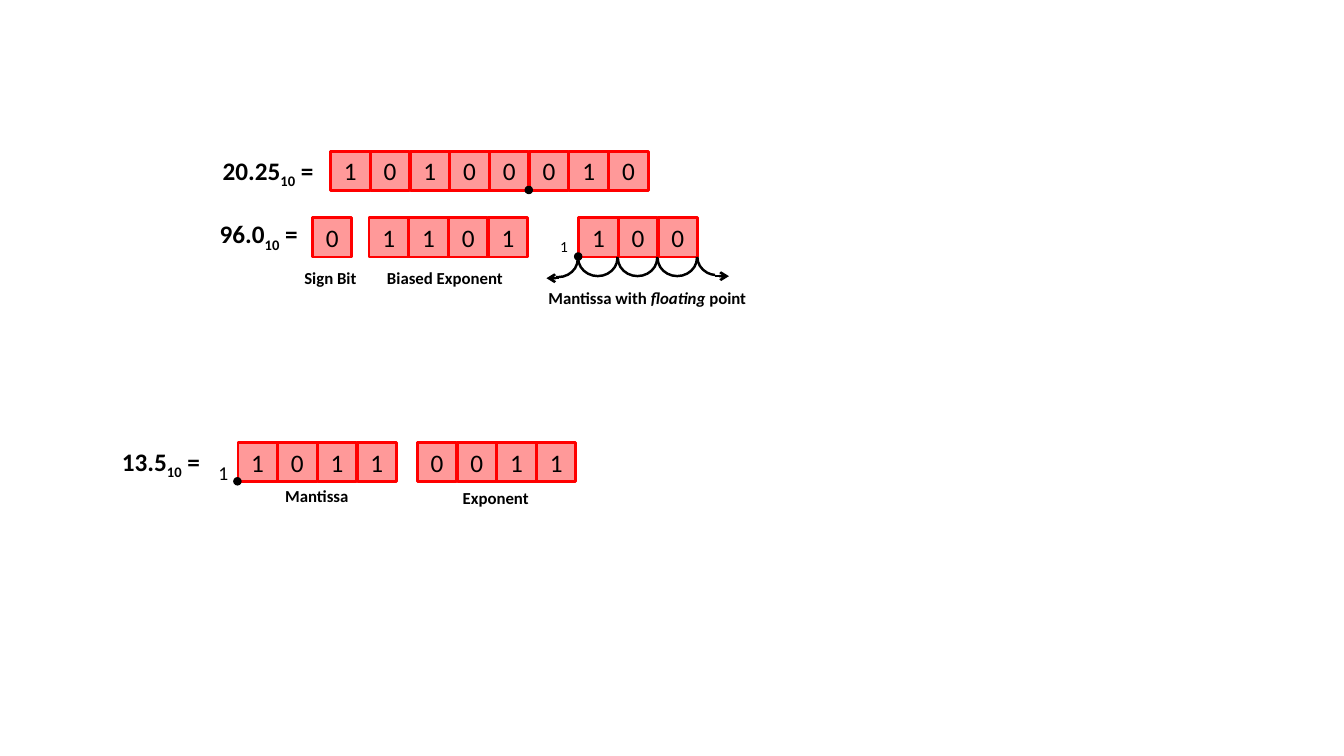
from lxml.etree import SubElement
from pptx import Presentation
from pptx.dml.color import RGBColor
from pptx.enum.shapes import MSO_CONNECTOR, MSO_SHAPE
from pptx.enum.text import MSO_ANCHOR, MSO_AUTO_SIZE, PP_ALIGN
from pptx.oxml.ns import qn
from pptx.util import Inches, Pt

BLACK, RED = "000000", "FF0000"
CELL, PITCH, DOT = 0.39, 0.394, 0.07


def paint(shape, line, width, fill=None, opacity=100):
    """Set the line and an optional fill, and remove the shadow."""
    shape.line.color.rgb = RGBColor.from_string(line)
    shape.line.width = Pt(width)
    SubElement(shape._element.spPr, qn("a:effectLst"))
    if fill:
        shape.fill.solid()
        shape.fill.fore_color.rgb = RGBColor.from_string(fill)
        if opacity < 100:
            color = shape._element.spPr.find(qn("a:solidFill"))[0]
            SubElement(color, qn("a:alpha")).set("val", str(opacity * 1000))


def write(shape, *pieces, size=18, bold=False, centered=False):
    """Write pieces as runs; a piece is text or a (text, style) pair."""
    frame = shape.text_frame
    frame.word_wrap = centered
    frame.vertical_anchor = MSO_ANCHOR.MIDDLE if centered else MSO_ANCHOR.TOP
    if not centered:
        frame.auto_size = MSO_AUTO_SIZE.SHAPE_TO_FIT_TEXT
    paragraph = frame.paragraphs[0]
    paragraph.alignment = PP_ALIGN.CENTER if centered else PP_ALIGN.LEFT
    for piece in pieces:
        text, style = (piece, None) if isinstance(piece, str) else piece
        run = paragraph.add_run()
        run.text = text
        run.font.name = "Calibri"
        run.font.size = Pt(size)
        run.font.bold = bold
        run.font.color.rgb = RGBColor.from_string(BLACK)
        if style == "italic":
            run.font.italic = True
        elif style == "subscript":
            run.font._element.set("baseline", "-25000")


presentation = Presentation()
presentation.slide_width = Inches(13.33)
presentation.slide_height = Inches(7.5)
slide = presentation.slides.add_slide(presentation.slide_layouts[6])
shapes = slide.shapes

# Bit cells: left, top, bits
for left, top, bits in [
    (3.28, 1.5, "10100010"),
    (3.1, 2.16, "0"),
    (3.66, 2.16, "1101"),
    (5.74, 2.16, "100"),
    (2.36, 4.39, "1011"),
    (4.14, 4.39, "0011"),
]:
    for index, bit in enumerate(bits):
        cell = shapes.add_shape(
            MSO_SHAPE.RECTANGLE, Inches(left + index * PITCH), Inches(top),
            Inches(CELL), Inches(CELL))
        paint(cell, RED, 2, fill=RED, opacity=40)
        write(cell, bit, centered=True)

# Decimal values
for left, top, width, number in [
    (2.11, 1.49, 1.14, "20.25"),
    (2.08, 2.12, 1.01, "96.0"),
    (1.11, 4.38, 1.01, "13.5"),
]:
    value = shapes.add_textbox(Inches(left), Inches(top), Inches(width), Inches(0.4))
    write(value, number, ("10", "subscript"), " =", bold=True)

# Captions
for left, top, width, pieces in [
    (2.92, 2.61, 0.73, ["Sign Bit"]),
    (3.74, 2.61, 1.37, ["Biased Exponent"]),
    (5.34, 2.81, 2.18, ["Mantissa with ", ("floating ", "italic"), "point"]),
    (2.73, 4.77, 0.84, ["Mantissa"]),
    (4.49, 4.79, 0.87, ["Exponent"]),
]:
    caption = shapes.add_textbox(Inches(left), Inches(top), Inches(width), Inches(0.3))
    write(caption, *pieces, size=12, bold=True)

# Implied leading ones
for left, top, size in [(5.4, 2.25, 11), (2.02, 4.49, 14)]:
    implied_one = shapes.add_textbox(Inches(left), Inches(top), Inches(CELL), Inches(CELL))
    write(implied_one, "1", size=size, centered=True)

# Binary points
for left, top in [(5.21, 1.85), (5.7, 2.51), (2.32, 4.74)]:
    point = shapes.add_shape(
        MSO_SHAPE.FLOWCHART_CONNECTOR, Inches(left), Inches(top), Inches(DOT), Inches(DOT))
    paint(point, BLACK, 1, fill=BLACK)

# Hops of the floating point; angles in degrees
RIGHT, BOTTOM, LEFT = 356.83, 96.3, 180
for index, (top, start, end) in enumerate([
    (2.39, RIGHT, BOTTOM),
    (2.38, RIGHT, LEFT),
    (2.38, RIGHT, LEFT),
    (2.38, RIGHT, LEFT),
    (2.37, BOTTOM, LEFT),
]):
    hop = shapes.add_shape(
        MSO_SHAPE.ARC, Inches(5.34 + index * PITCH), Inches(top), Inches(CELL), Inches(0.36))
    hop.adjustments[0] = start * 0.6
    hop.adjustments[1] = end * 0.6
    hop.fill.background()
    paint(hop, BLACK, 1.75)

for start, end, y in [(5.54, 5.42, 2.76), (7.09, 7.23, 2.74)]:
    arrow = shapes.add_connector(
        MSO_CONNECTOR.STRAIGHT, Inches(start), Inches(y), Inches(end), Inches(y))
    paint(arrow, BLACK, 1.75)
    SubElement(arrow.line._get_or_add_ln(), qn("a:tailEnd")).set("type", "arrow")

presentation.save("out.pptx")
